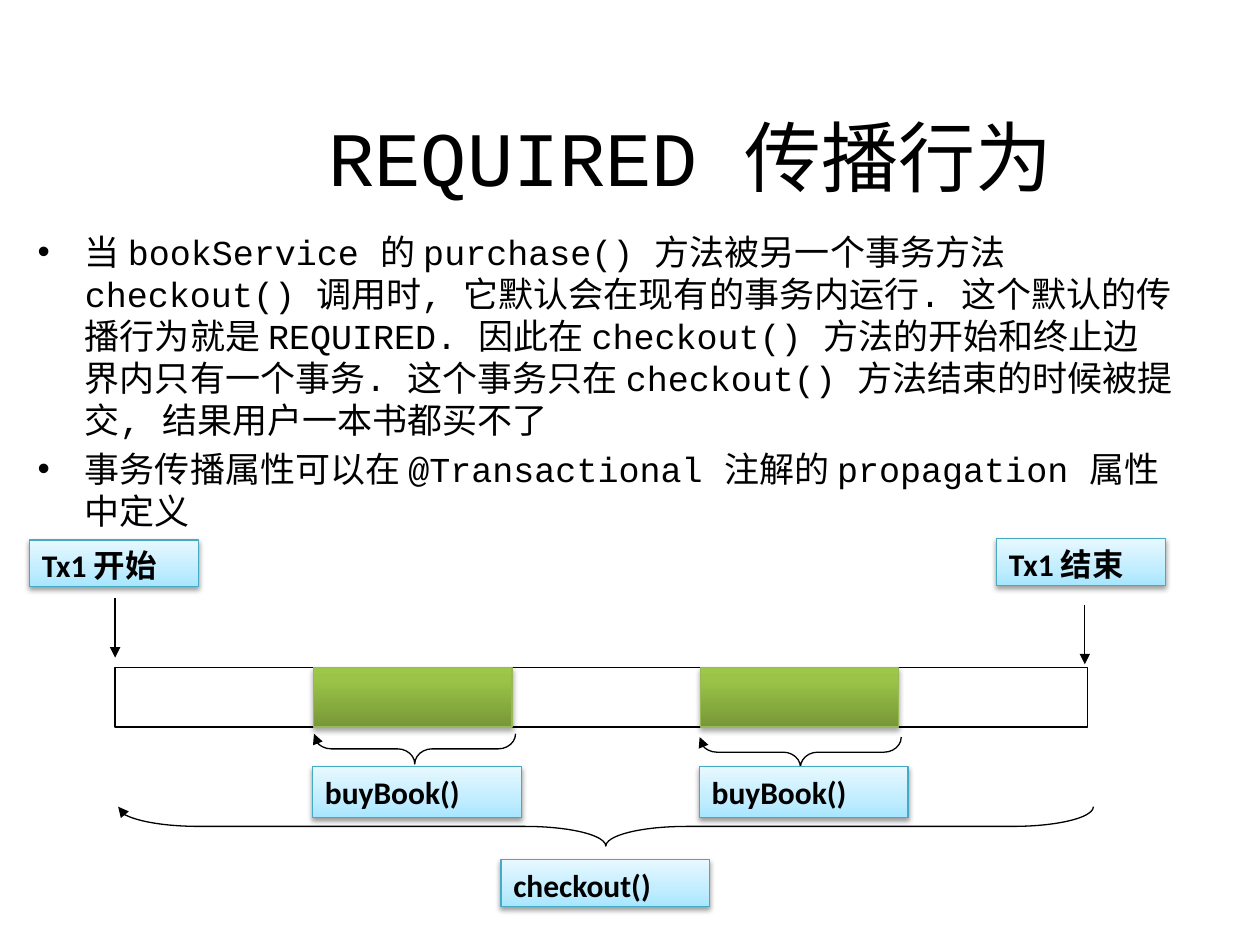
from typing import NamedTuple

import pptx
import pptx.dml.color
import pptx.enum.shapes
import pptx.enum.text
import pptx.oxml
import pptx.oxml.ns
import pptx.util

Pt = pptx.util.Pt
Shapes = pptx.enum.shapes.MSO_SHAPE
BLACK = "000000"
HANGING = 27
LINE_WIDTH = 0.75


class Style(NamedTuple):
    stops: tuple[tuple[int, str], ...]
    line: str
    shadow_alpha: int
    shadow_distance: float


class Label(NamedTuple):
    text: str
    left: float
    top: float
    width: float
    height: float


class Brace(NamedTuple):
    left: float
    top: float
    width: float
    depth: float
    curl: float


class Arrow(NamedTuple):
    x: float
    top: float
    bottom: float


BLUE = Style(((0, "A7E6FF"), (35, "C1EDFF"), (100, "E7F8FF")), "46AAC5", 38, 1.6)
GREEN = Style(((0, "779737"), (80, "9BC348"), (100, "9DC746")), "98B955", 35, 1.8)

TITLE = "REQUIRED 传播行为"
BULLETS = (
    "当 bookService 的 purchase() 方法被另一个事务方法 checkout() 调用时, "
    "它默认会在现有的事务内运行. 这个默认的传播行为就是 REQUIRED. "
    "因此在 checkout() 方法的开始和终止边界内只有一个事务. "
    "这个事务只在 checkout() 方法结束的时候被提交, 结果用户一本书都买不了",
    "事务传播属性可以在 @Transactional 注解的 propagation 属性中定义",
)
BAR_LEFT, BAR_TOP, BAR_HEIGHT = 65.8, 381.6, 33.9
CALL_LEFTS = (179.3, 400.3)
ARROWS = (Arrow(BAR_LEFT, 341.8, 375.8), Arrow(619.9, 345.6, 379.6))
LABELS = (
    Label("Tx1 开始", 16.8, 308.6, 96.5, 26.6),
    Label("Tx1 结束", 569.5, 307.9, 96.5, 26.6),
    Label("checkout()", 286.2, 491.2, 119.2, 26.9),
    *(Label("buyBook()", left - 0.7, 438.1, 119.3, 29.1) for left in CALL_LEFTS),
)
BRACES = (
    Brace(67.5, 461, 557.3, 22.5, 2.05),
    Brace(179.4, 419.3, 115.2, 17.3, 0.57),
    Brace(399.8, 421.2, 115.2, 17.3, 0.57),
)


def color(value: str):
    return pptx.dml.color.RGBColor.from_string(value)


def element(tag: str, content: str = "", **attributes):
    """Make a drawing element with the given attributes and inner XML."""
    pairs = " ".join(f'{name}="{value}"' for name, value in attributes.items())
    namespace = pptx.oxml.ns.nsdecls("a")
    return pptx.oxml.parse_xml(f"<a:{tag} {namespace} {pairs}>{content}</a:{tag}>")


def format_run(run, size: float, name: str, bold: bool = False) -> None:
    run.font.size = Pt(size)
    run.font.name = name
    run.font.bold = bold
    run.font.color.rgb = color(BLACK)


def set_hanging(paragraph):
    properties = paragraph._p.get_or_add_pPr()
    properties.set("marL", str(Pt(HANGING)))
    properties.set("indent", str(-Pt(HANGING)))
    return properties


def add_text(slide, left: float, top: float, width: float, height: float):
    shape = slide.shapes.add_textbox(Pt(left), Pt(top), Pt(width), Pt(height))
    shape.text_frame.word_wrap = True
    return shape.text_frame


def add_box(slide, left: float, top: float, width: float, height: float,
            kind=Shapes.RECTANGLE, line: str = BLACK):
    shape = slide.shapes.add_shape(kind, Pt(left), Pt(top), Pt(width), Pt(height))
    shape.shadow.inherit = False
    shape.line.color.rgb = color(line)
    shape.line.width = Pt(LINE_WIDTH)
    return shape


def add_styled_box(slide, left: float, top: float, width: float, height: float,
                   style: Style):
    shape = add_box(slide, left, top, width, height, line=style.line)
    shape.fill.gradient()
    gradient = shape._element.spPr.find(pptx.oxml.ns.qn("a:gradFill"))
    for child in list(gradient):
        gradient.remove(child)
    stops = "".join(f'<a:gs pos="{position * 1000}"><a:srgbClr val="{value}"/></a:gs>'
                    for position, value in style.stops)
    gradient.append(element("gsLst", stops))
    gradient.append(element("lin", ang=270 * 60000, scaled=0))
    effects = shape._element.spPr.find(pptx.oxml.ns.qn("a:effectLst"))
    effects.append(element(
        "outerShdw",
        f'<a:srgbClr val="{BLACK}"><a:alpha val="{style.shadow_alpha * 1000}"/></a:srgbClr>',
        blurRad=Pt(3.1), dist=Pt(style.shadow_distance), dir=90 * 60000, rotWithShape=0))
    return shape


def add_label(slide, label: Label) -> None:
    shape = add_styled_box(slide, *label[1:], BLUE)
    frame = shape.text_frame
    frame.text = label.text
    frame.vertical_anchor = pptx.enum.text.MSO_ANCHOR.TOP
    paragraph = frame.paragraphs[0]
    paragraph.alignment = pptx.enum.text.PP_ALIGN.LEFT
    set_hanging(paragraph)
    format_run(paragraph.runs[0], 18, "Calibri", bold=True)


def add_arrowhead(shape) -> None:
    shape.line._get_or_add_ln().append(element("tailEnd", type="triangle"))


def add_brace(slide, brace: Brace) -> None:
    # The upright brace is turned a quarter about its centre.
    offset = (brace.width - brace.depth) / 2
    shape = add_box(slide, brace.left + offset, brace.top - offset,
                    brace.depth, brace.width, Shapes.RIGHT_BRACE)
    shape.rotation = 90
    shape.adjustments[0] = brace.curl
    shape.fill.background()
    add_arrowhead(shape)


def add_arrow(slide, arrow: Arrow) -> None:
    connector = slide.shapes.add_connector(
        pptx.enum.shapes.MSO_CONNECTOR.STRAIGHT,
        Pt(arrow.x), Pt(arrow.top), Pt(arrow.x), Pt(arrow.bottom))
    connector.line.color.rgb = color(BLACK)
    connector.line.width = Pt(LINE_WIDTH)
    add_arrowhead(connector)
    connector._element.spPr.append(element("effectLst"))


def main() -> None:
    presentation = pptx.Presentation()
    presentation.slide_width, presentation.slide_height = Pt(720), Pt(540)
    slide = presentation.slides.add_slide(presentation.slide_layouts[6])

    # Title
    frame = add_text(slide, 70.8, 55.4, 648, 67.7)
    frame.text = TITLE
    frame.vertical_anchor = pptx.enum.text.MSO_ANCHOR.MIDDLE
    frame.paragraphs[0].alignment = pptx.enum.text.PP_ALIGN.CENTER
    format_run(frame.paragraphs[0].runs[0], 44, "Courier New")

    # Bullets
    frame = add_text(slide, 14.4, 128.2, 663.1, 322.6)
    frame.text = "\n".join(BULLETS)
    for index, paragraph in enumerate(frame.paragraphs):
        properties = set_hanging(paragraph)
        properties.append(element("buFont", typeface="Arial"))
        properties.append(element("buChar", char="•"))
        paragraph.space_before = Pt(4 if index else 0)
        format_run(paragraph.runs[0], 20, "Courier New")

    # Transaction bar with the two nested calls
    bar = add_box(slide, BAR_LEFT, BAR_TOP, 555.8, BAR_HEIGHT)
    bar.fill.solid()
    bar.fill.fore_color.rgb = color("FFFFFF")
    for left in CALL_LEFTS:
        add_styled_box(slide, left, BAR_TOP, 113.3, BAR_HEIGHT, GREEN)

    # Arrows, braces and labels
    for arrow in ARROWS:
        add_arrow(slide, arrow)
    for brace in BRACES:
        add_brace(slide, brace)
    for label in LABELS:
        add_label(slide, label)

    presentation.save("out.pptx")


if __name__ == "__main__":
    main()
